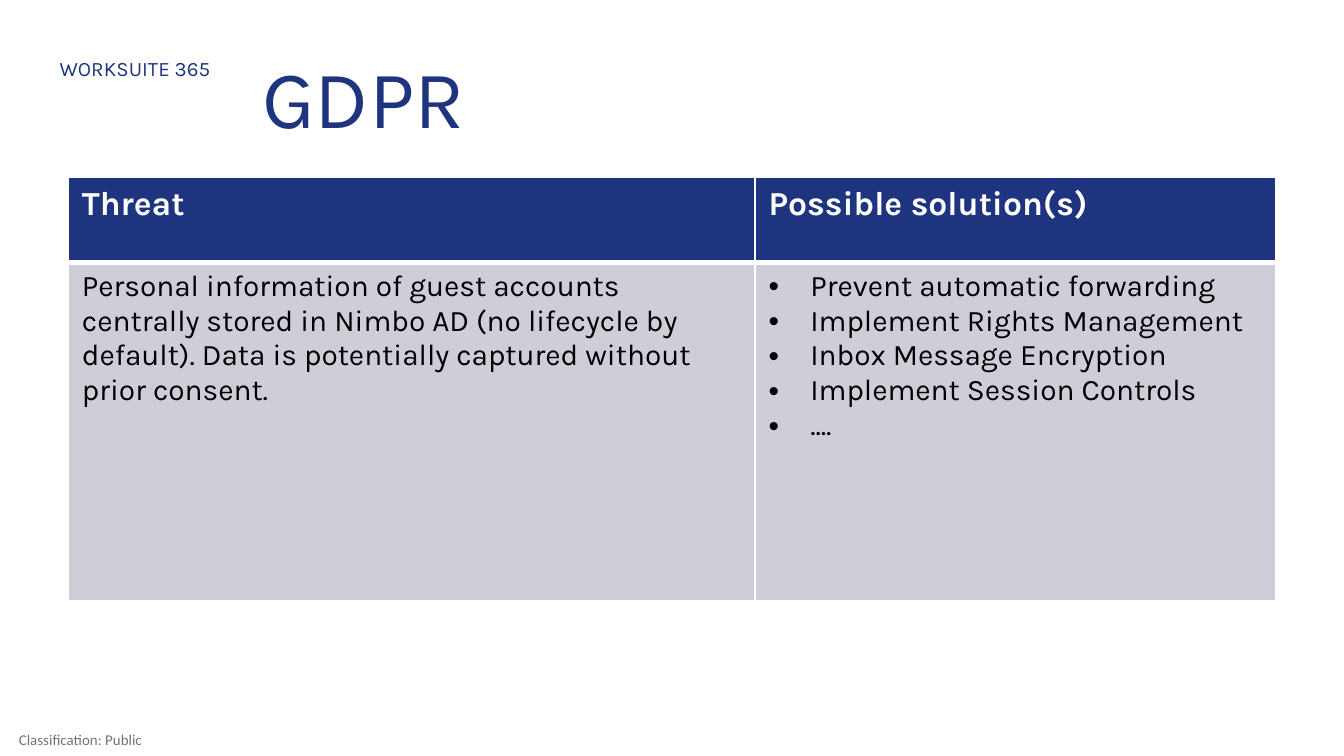
from lxml.etree import SubElement
from pptx import Presentation
from pptx.dml.color import RGBColor
from pptx.enum.text import MSO_ANCHOR, PP_ALIGN
from pptx.oxml.ns import qn
from pptx.util import Inches, Pt

THEME = {
    "navy": "1E347F", "white": "FFFFFF", "black": "000000",
    "grey": "737373", "cell": "CDCED8",
    "title": 44, "header": 18, "body": 16, "label": 11, "footer": 8,
}


def write_text(frame, *lines, size, color, font="Karla", bold=False, spacing=1.0,
               align=PP_ALIGN.LEFT, anchor=MSO_ANCHOR.TOP, bullet=False):
    frame.word_wrap = True
    frame.vertical_anchor = anchor
    for index, line in enumerate(lines):
        paragraph = frame.paragraphs[0] if index == 0 else frame.add_paragraph()
        paragraph.alignment = align
        paragraph.line_spacing = spacing
        if bullet:
            properties = paragraph._p.get_or_add_pPr()
            properties.set("marL", str(Inches(0.31)))
            properties.set("indent", str(-Inches(0.31)))
            SubElement(properties, qn("a:buFont"), typeface="Arial")
            SubElement(properties, qn("a:buChar"), char="•")
        run = paragraph.add_run()
        run.text = line
        run.font.name = font
        run.font.size = Pt(THEME[size])
        run.font.bold = bold
        run.font.color.rgb = RGBColor.from_string(THEME[color])


def add_borders(cell, bottom_width):
    """Draw white cell borders; must run before the cell's fill is set."""
    properties = cell._tc.get_or_add_tcPr()
    for side, width in (("L", 1), ("R", 1), ("T", 1), ("B", bottom_width)):
        line = SubElement(properties, qn(f"a:ln{side}"), w=str(Pt(width)))
        fill = SubElement(line, qn("a:solidFill"))
        SubElement(fill, qn("a:srgbClr"), val=THEME["white"])


presentation = Presentation()
presentation.slide_width = Inches(10)
presentation.slide_height = presentation.slide_width * 9 // 16
slide = presentation.slides.add_slide(presentation.slide_layouts[5])

# Product label and classification
label = slide.shapes.add_textbox(Inches(0.2), Inches(0.37), Inches(1.61), Inches(0.29))
write_text(label.text_frame, "WORKSUITE 365", size="label", color="navy",
           align=PP_ALIGN.CENTER)

footer = slide.shapes.add_textbox(0, Inches(5.38), Inches(1.19), Inches(0.25))
footer.text_frame.margin_left = Inches(0.14)
footer.text_frame.margin_right = 0
footer.text_frame.margin_top = footer.text_frame.margin_bottom = 0
write_text(footer.text_frame, "Classification: Public", size="footer", color="grey",
           font="Calibri", anchor=MSO_ANCHOR.MIDDLE)

# Threat table
columns, rows = (5.11, 3.87), (0.63, 2.52)
table = slide.shapes.add_table(2, 2, Inches(0.51), Inches(1.32),
                               Inches(sum(columns)), Inches(sum(rows))).table
for column, width in zip(table.columns, columns):
    column.width = Inches(width)
for row, height in zip(table.rows, rows):
    row.height = Inches(height)

threat = ("Personal information of guest accounts centrally stored in Nimbo AD "
          "(no lifecycle by default). Data is potentially captured without prior consent.")
solutions = ("Prevent automatic forwarding", "Implement Rights Management",
             "Inbox Message Encryption", "Implement Session Controls", "....")
contents = (
    (("Threat",), ("Possible solution(s)",)),
    ((threat,), solutions),
)
for row_index, row_contents in enumerate(contents):
    is_header = row_index == 0
    for column_index, lines in enumerate(row_contents):
        cell = table.cell(row_index, column_index)
        add_borders(cell, bottom_width=3 if is_header else 1)
        cell.fill.solid()
        cell.fill.fore_color.rgb = RGBColor.from_string(
            THEME["navy" if is_header else "cell"])
        write_text(cell.text_frame, *lines, bold=is_header,
                   size="header" if is_header else "body",
                   color="white" if is_header else "black",
                   bullet=len(lines) > 1)

# Title
title = slide.shapes.title
title.left, title.top = Inches(1.85), Inches(0.29)
title.width, title.height = Inches(7.64), Inches(0.94)
write_text(title.text_frame, "GDPR", size="title", color="navy", spacing=0.9,
           anchor=MSO_ANCHOR.MIDDLE)

presentation.save("out.pptx")
